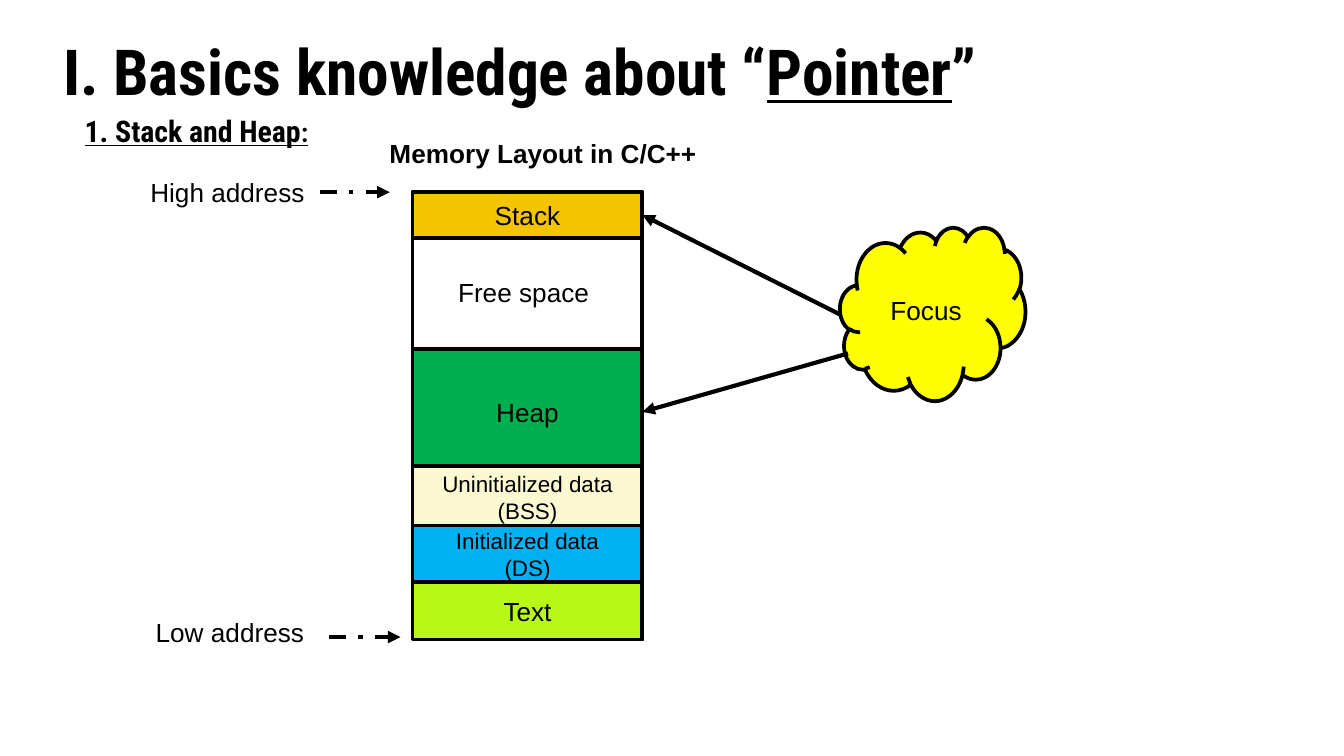
from dataclasses import dataclass

from pptx import Presentation
from pptx.dml.color import RGBColor
from pptx.enum import dml, shapes, text
from pptx.oxml.ns import qn
from pptx.util import Inches, Pt


@dataclass(frozen=True)
class Theme:
    ink: str = "000000"
    stack: str = "F5C400"
    heap: str = "00B050"
    bss: str = "FBF8D2"
    data: str = "00B0F0"
    code: str = "B8F818"
    focus: str = "FFFF00"
    heading_font: str = "Roboto Condensed"
    body_font: str = "Arial"
    title: int = 34
    subtitle: int = 16
    body: int = 14
    small: int = 12
    outline: float = 2
    arrow: float = 2.25


T = Theme()
RECT = shapes.MSO_SHAPE.RECTANGLE
CLOUD = shapes.MSO_SHAPE.CLOUD


def rgb(color):
    return RGBColor.from_string(color)


def style(r, size, font=T.body_font, bold=False, underline=False):
    r.font.size, r.font.name = Pt(size), font
    r.font.bold, r.font.underline = bold, underline
    r.font.color.rgb = rgb(T.ink)


def add_heading(s, box, runs, spacing, anchor, align):
    """Heading made of (text, size, underline) runs."""
    tf = s.shapes.add_textbox(*map(Inches, box)).text_frame
    tf.word_wrap, tf.vertical_anchor = True, anchor
    tf.margin_left = tf.margin_right = Inches(0.07)
    tf.margin_top = tf.margin_bottom = Inches(0.04)
    p = tf.paragraphs[0]
    p.line_spacing, p.alignment = spacing, align
    for words, size, underline in runs:
        r = p.add_run()
        r.text = words
        style(r, size, T.heading_font, True, underline)


def add_label(s, box, words, bold=False):
    tf = s.shapes.add_textbox(*map(Inches, box)).text_frame
    tf.word_wrap = False
    tf.auto_size = text.MSO_AUTO_SIZE.SHAPE_TO_FIT_TEXT
    tf.text = words
    style(tf.paragraphs[0].runs[0], T.body, bold=bold)


def add_block(s, box, kind=RECT, fill=None, words="", size=T.body):
    """Outlined shape with centred text; without a fill it is only a frame."""
    sp = s.shapes.add_shape(kind, *map(Inches, box))
    sp.shadow.inherit = False
    if fill:
        sp.fill.solid()
        sp.fill.fore_color.rgb = rgb(fill)
    else:
        sp.fill.background()
    sp.line.color.rgb, sp.line.width = rgb(T.ink), Pt(T.outline)
    tf = sp.text_frame
    tf.vertical_anchor = text.MSO_ANCHOR.MIDDLE
    tf.text = words
    for p in tf.paragraphs:
        p.alignment = text.PP_ALIGN.CENTER
        for r in p.runs:
            style(r, size)
    return sp


def add_arrow(s, start, end, dash=None):
    c = s.shapes.add_connector(shapes.MSO_CONNECTOR.STRAIGHT,
                               *map(Inches, (*start, *end)))
    c.line.color.rgb, c.line.width = rgb(T.ink), Pt(T.arrow)
    if dash:
        c.line.dash_style = dash
    ln = c.line._get_or_add_ln()
    ln.append(ln.makeelement(qn("a:tailEnd"), {"type": "triangle"}))
    props = c._element.spPr
    props.append(props.makeelement(qn("a:effectLst"), {}))
    return c


def add_headings(s, x, y):
    add_heading(s, (x, y, 8.19, 0.59),
                [("I. Basics knowledge about “", T.title, False),
                 ("Pointer", T.title, True), ("”", T.title, False)],
                0.9, text.MSO_ANCHOR.MIDDLE, text.PP_ALIGN.LEFT)
    add_heading(s, (x + 0.16, y + 0.5, 1.96, 0.36),
                [("1. Stack and Heap", T.subtitle, True), (":", T.body, True)],
                1.15, text.MSO_ANCHOR.TOP, text.PP_ALIGN.JUSTIFY)


def add_memory(s, x, y, w, h):
    """Memory column; returns its segments by name."""
    add_block(s, (x, y, w, h))
    segments = [  # name, offset, height, fill, text, size
        ("stack", 0, 0.34, T.stack, "Stack", T.body),
        ("heap", 1.17, 0.93, T.heap, "Heap", T.body),
        ("bss", 2.04, 0.45, T.bss, "Uninitialized data\n(BSS)", T.small),
        ("data", 2.48, 0.43, T.data, "Initialized data\n(DS)", T.small),
        ("code", 2.9, 0.43, T.code, "Text", T.body),
    ]
    blocks = {name: add_block(s, (x, y + top, w, tall), RECT, fill, words, size)
              for name, top, tall, fill, words, size in segments}
    add_label(s, (x - 0.27, y - 0.46, 2.5, 0.34), "Memory Layout in C/C++", True)
    add_label(s, (x + 0.24, y + 0.58, 1.18, 0.34), "Free space")
    return blocks


def add_addresses(s, x, y, h):
    """Address labels with dashed arrows at the two ends of the column."""
    dash = dml.MSO_LINE.DASH_DOT
    add_label(s, (x - 2.05, y - 0.17, 1.36, 0.34), "High address")
    add_arrow(s, (x - 0.69, y), (x - 0.17, y), dash)
    low = y + h - 0.02
    add_label(s, (x - 2.01, low - 0.2, 1.31, 0.34), "Low address")
    add_arrow(s, (x - 0.62, low), (x - 0.09, low), dash)


def add_focus(s, x, y, w, h, stack, heap):
    """Cloud with one arrow to each segment of interest."""
    add_block(s, (x, y, w, h), CLOUD, T.focus, "Focus")
    for block, dx, dy in ((stack, 0, 0.65), (heap, 0.06, 0.94)):
        start = (x + dx, y + dy)
        add_arrow(s, start, start).end_connect(block, 3)


def main():
    prs = Presentation()
    # Widescreen, 16:9
    prs.slide_width = Inches(10)
    prs.slide_height = prs.slide_width * 9 // 16
    s = prs.slides.add_slide(prs.slide_layouts[6])
    x, y, w, h = 3.07, 1.43, 1.71, 3.33
    add_headings(s, 0.4, 0.26)
    blocks = add_memory(s, x, y, w, h)
    add_addresses(s, x, y, h)
    add_focus(s, 6.25, 1.69, 1.38, 1.29, blocks["stack"], blocks["heap"])
    prs.save("out.pptx")


if __name__ == "__main__":
    main()
